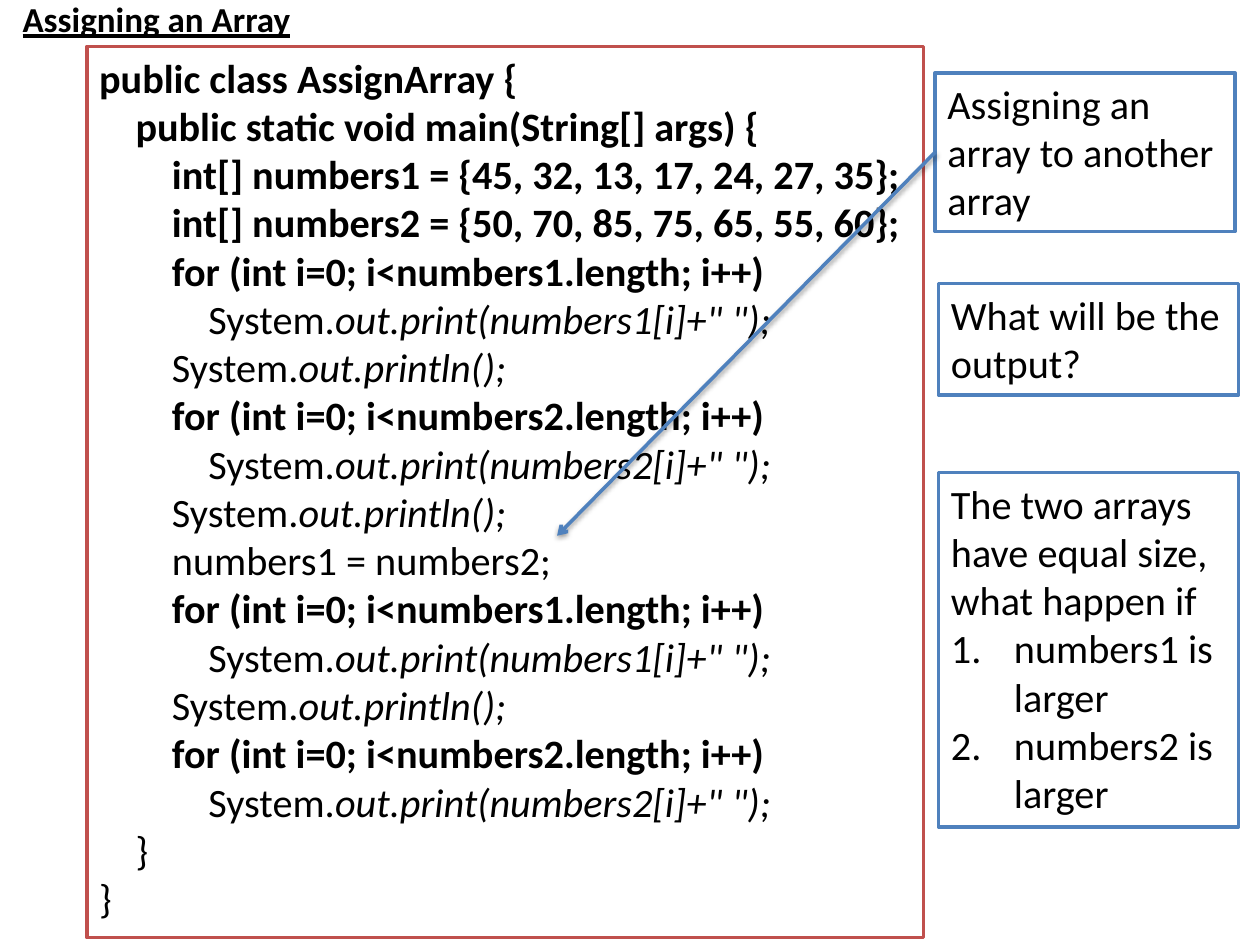
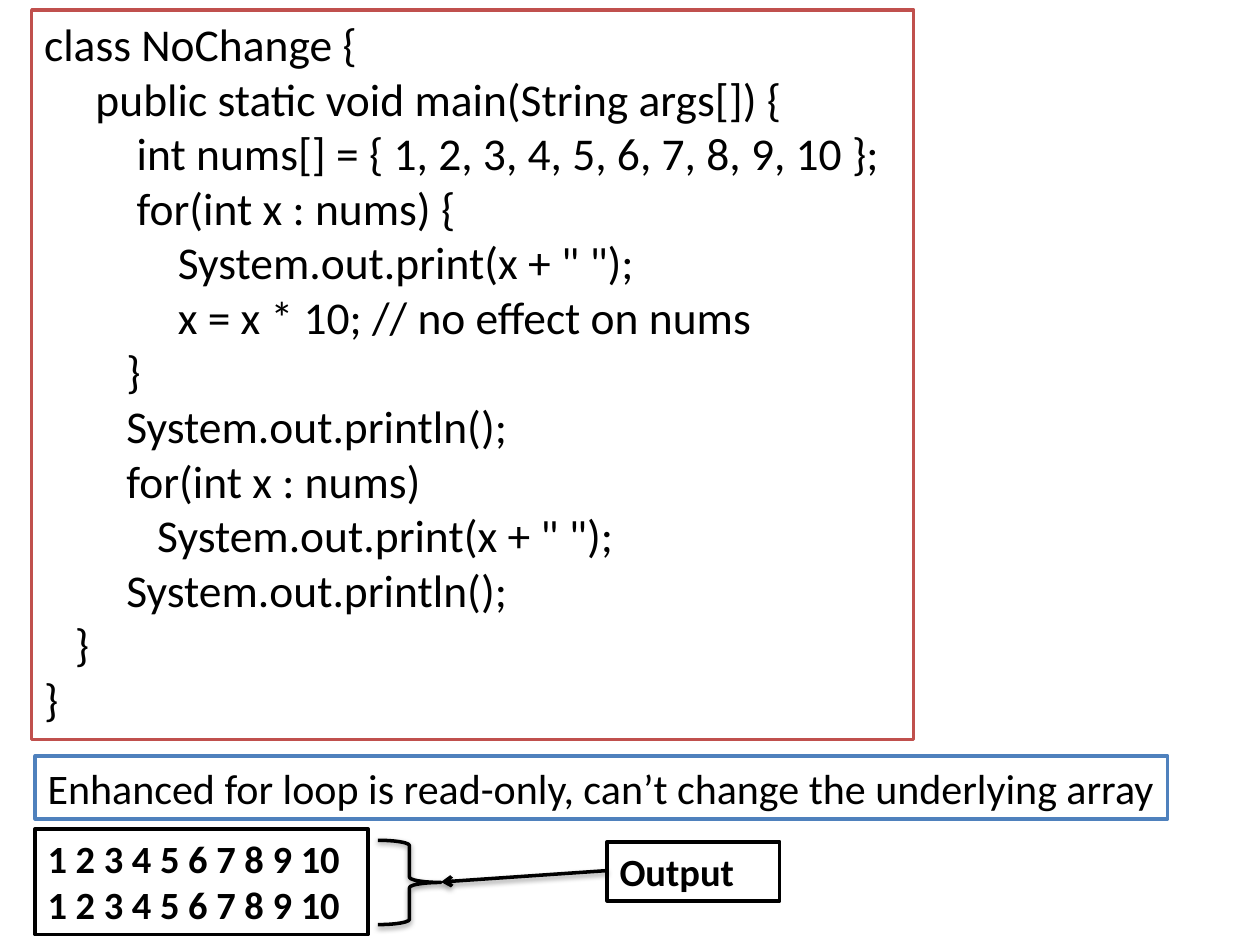
from dataclasses import dataclass
from typing import NamedTuple

from lxml.etree import SubElement
from pptx import Presentation
from pptx.dml.color import RGBColor
from pptx.enum.shapes import MSO_CONNECTOR as Connector, MSO_SHAPE as Preset
from pptx.enum.text import MSO_ANCHOR as Anchor, MSO_AUTO_SIZE as AutoSize, PP_ALIGN as Align
from pptx.oxml.ns import qn
from pptx.util import Cm, Pt

BLACK = RGBColor(0x00, 0x00, 0x00)
WHITE = RGBColor(0xFF, 0xFF, 0xFF)
RED = RGBColor(0xC0, 0x50, 0x4D)
BLUE = RGBColor(0x4F, 0x81, 0xBD)
FONT = "Calibri"
LINE_WIDTH = Pt(2)
SPACE_EM = 0.226  # width of one space, as a share of the font size
TITLE_ONLY, BLANK = 5, 6


class Span(NamedTuple):
    text: str
    bold: bool = False
    italic: bool = False


class Line(NamedTuple):
    spans: list[Span]
    columns: int = 0  # code indent, counted in spaces
    numbered: bool = False


class Point(NamedTuple):
    x: float
    y: float


@dataclass
class Panel:
    """A framed box of text; lengths in centimetres."""
    left: float
    top: float
    width: float
    height: float
    border: RGBColor
    size: int
    lines: list[Line]
    wrap: bool = True


def line(text: str, columns: int = 0, bold: bool = False, numbered: bool = False) -> Line:
    return Line([Span(text, bold)], columns, numbered)


# Text
def add_span(paragraph, span: Span, size: int):
    run = paragraph.add_run()
    run.text = span.text
    font = run.font
    font.name, font.size = FONT, Pt(size)
    font.bold, font.italic = span.bold, span.italic
    font.color.rgb = BLACK
    return run


def indent(paragraph, item: Line, size: int) -> None:
    props = paragraph._p.get_or_add_pPr()
    if item.numbered:
        hanging = Cm(1.27)
        props.set("marL", str(hanging))
        props.set("indent", str(-hanging))
        SubElement(props, qn("a:buFont"), typeface="+mj-lt")
        SubElement(props, qn("a:buAutoNum"), type="arabicPeriod")
    elif item.columns:
        props.set("marL", str(Pt(item.columns * size * SPACE_EM)))


def add_panel(slide, panel: Panel) -> None:
    box = slide.shapes.add_shape(Preset.RECTANGLE, Cm(panel.left), Cm(panel.top),
                                 Cm(panel.width), Cm(panel.height))
    box.shadow.inherit = False
    box.fill.solid()
    box.fill.fore_color.rgb = WHITE
    box.line.color.rgb = panel.border
    box.line.width = LINE_WIDTH
    frame = box.text_frame
    frame.word_wrap = panel.wrap
    frame.vertical_anchor = Anchor.TOP
    for number, item in enumerate(panel.lines):
        paragraph = frame.add_paragraph() if number else frame.paragraphs[0]
        paragraph.alignment = Align.LEFT
        indent(paragraph, item, panel.size)
        for span in item.spans:
            add_span(paragraph, span, panel.size)


def set_title(slide, text: str) -> None:
    title = slide.shapes.title
    title.left, title.top, title.width, title.height = Cm(0.2), Cm(-0.18), Cm(5.97), Cm(1.12)
    frame = title.text_frame
    frame.auto_size = AutoSize.NONE
    frame.word_wrap = False
    frame.vertical_anchor = Anchor.TOP
    frame.paragraphs[0].alignment = Align.LEFT
    add_span(frame.paragraphs[0], Span(text, bold=True), 20).font.underline = True


# Arrows and brace
def add_soft_shadow(shape) -> None:
    effects = SubElement(shape._element.spPr, qn("a:effectLst"))
    shadow = SubElement(effects, qn("a:outerShdw"), blurRad=str(Pt(3.1)), dist=str(Pt(1.6)),
                        dir="5400000", rotWithShape="0")
    color = SubElement(shadow, qn("a:srgbClr"), val=str(BLACK))
    SubElement(color, qn("a:alpha"), val="38000")


def add_arrow(slide, start: Point, end: Point, color: RGBColor) -> None:
    arrow = slide.shapes.add_connector(Connector.STRAIGHT, Cm(start.x), Cm(start.y),
                                       Cm(end.x), Cm(end.y))
    arrow.line.color.rgb = color
    arrow.line.width = LINE_WIDTH
    SubElement(arrow.line._get_or_add_ln(), qn("a:tailEnd"), type="arrow")
    add_soft_shadow(arrow)


def add_brace(slide, left: float, top: float, width: float, height: float) -> None:
    brace = slide.shapes.add_shape(Preset.RIGHT_BRACE, Cm(left), Cm(top), Cm(width), Cm(height))
    brace.fill.background()
    brace.line.color.rgb = BLACK
    brace.line.width = LINE_WIDTH
    add_soft_shadow(brace)


# Java listings
def print_loop(array: str) -> list[Line]:
    return [line(f"for (int i=0; i<{array}.length; i++)", 8, bold=True),
            Line([Span("System."), Span(f'out.print({array}[i]+" ");', italic=True)], 12)]


NEW_LINE = Line([Span("System."), Span("out.println();", italic=True)], 8)

ASSIGN_ARRAY = [
    line("public class AssignArray {", bold=True),
    line("public static void main(String[] args) {", 4, bold=True),
    line("int[] numbers1 = {45, 32, 13, 17, 24, 27, 35};", 8, bold=True),
    line("int[] numbers2 = {50, 70, 85, 75, 65, 55, 60};", 8, bold=True),
    *print_loop("numbers1"), NEW_LINE,
    *print_loop("numbers2"), NEW_LINE,
    line("numbers1 = numbers2;", 8),
    *print_loop("numbers1"), NEW_LINE,
    *print_loop("numbers2"),
    line("}", 4),
    line("}"),
]

NO_CHANGE = [
    line("class NoChange {"),
    line("public static void main(String args[]) {", 5),
    line("int nums[] = { 1, 2, 3, 4, 5, 6, 7, 8, 9, 10 };", 9),
    line("for(int x : nums) {", 9),
    line('System.out.print(x + " ");', 13),
    line("x = x * 10; // no effect on nums", 13),
    line("}", 8),
    line("System.out.println();", 8),
    line("for(int x : nums)", 8),
    line('System.out.print(x + " ");', 11),
    line("System.out.println();", 8),
    line("}", 3),
    line("}"),
]

QUESTION = [
    line("The two arrays have equal size, what happen if"),
    line("numbers1 is larger", numbered=True),
    line("numbers2 is larger", numbered=True),
]


def build_assigning(deck) -> None:
    slide = deck.slides.add_slide(deck.slide_layouts[TITLE_ONLY])
    set_title(slide, "Assigning an Array")
    add_panel(slide, Panel(1.75, 0.94, 16.87, 17.96, RED, 23, ASSIGN_ARRAY))
    add_panel(slide, Panel(18.85, 1.47, 6.05, 3.2, BLUE, 23,
                           [line("Assigning an array to another array")]))
    add_arrow(slide, Point(18.85, 3.07), Point(11.23, 10.8), BLUE)
    add_panel(slide, Panel(18.92, 9.53, 6.05, 7.14, BLUE, 23, QUESTION))
    add_panel(slide, Panel(18.92, 5.72, 6.05, 2.24, BLUE, 23, [line("What will be the output?")]))


def build_read_only_loop(deck) -> None:
    slide = deck.slides.add_slide(deck.slide_layouts[BLANK])
    add_panel(slide, Panel(0.64, 0.2, 17.78, 14.71, RED, 26, NO_CHANGE))
    add_panel(slide, Panel(
        0.71, 15.24, 22.83, 1.27, BLUE, 24,
        [line("Enhanced for loop is read-only, can’t change the underlying array")], wrap=False))
    printed = line("1 2 3 4 5 6 7 8 9 10", bold=True)
    add_panel(slide, Panel(0.71, 16.71, 6.71, 2.13, BLACK, 22, [printed, printed]))
    add_brace(slide, 7.62, 16.94, 1.27, 1.7)
    add_panel(slide, Panel(12.24, 16.97, 3.48, 1.19, BLACK, 22, [line("Output", bold=True)]))
    add_arrow(slide, Point(12.24, 17.55), Point(8.89, 17.78), BLACK)


deck = Presentation()
deck.slide_width, deck.slide_height = Cm(25.4), Cm(19.05)
build_assigning(deck)
build_read_only_loop(deck)
deck.save("out.pptx")
